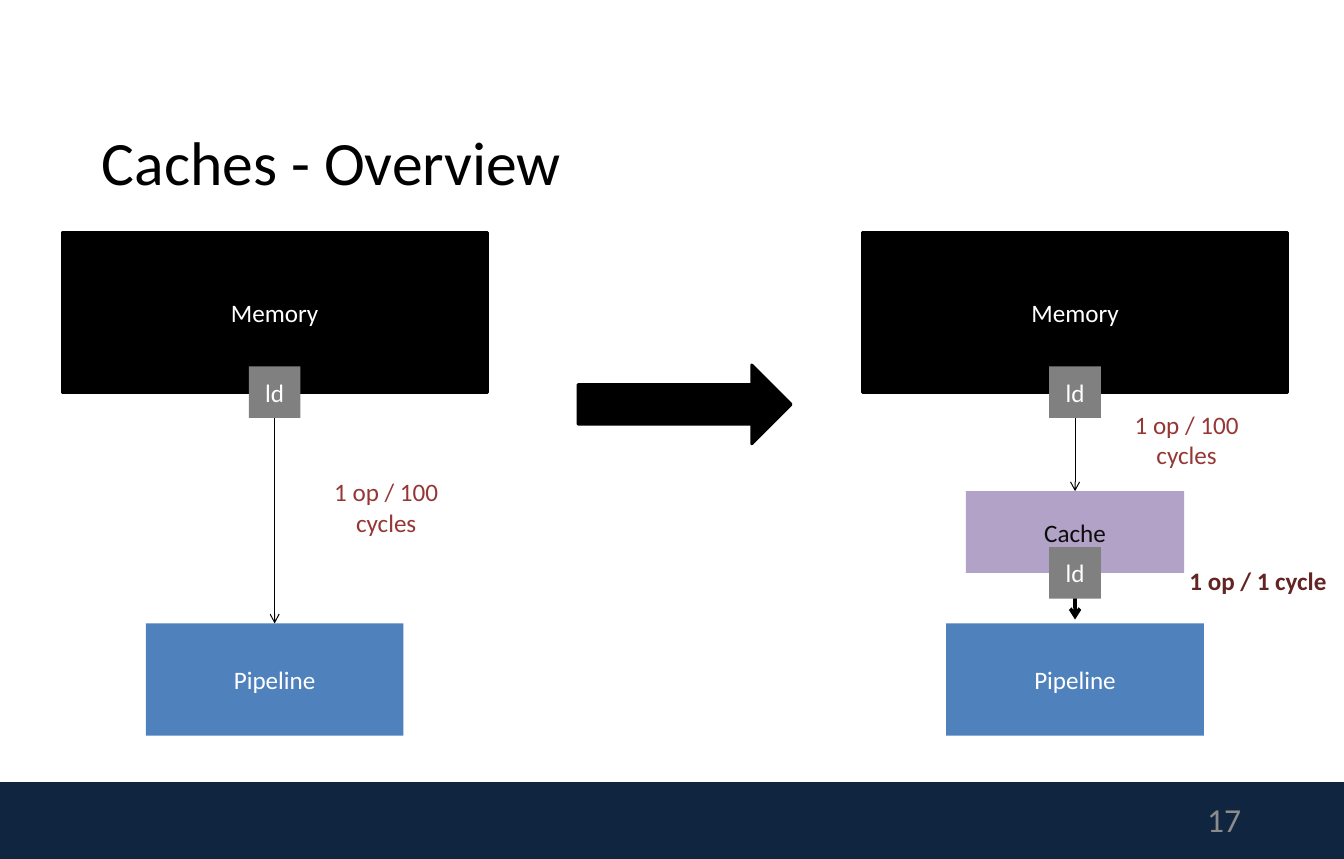
import pptx
import pptx.util
import pptx.dml.color
import pptx.enum.shapes
import pptx.enum.text
import pptx.oxml.ns
import lxml.etree

Pt = pptx.util.Pt
RGBColor = pptx.dml.color.RGBColor
SHAPE = pptx.enum.shapes.MSO_SHAPE
ALIGN = pptx.enum.text.PP_ALIGN
ANCHOR = pptx.enum.text.MSO_ANCHOR

FONT = "Calibri"
BODY_SIZE = 17.9
WHITE = RGBColor(0xFF, 0xFF, 0xFF)
BLACK = RGBColor(0, 0, 0)
NAVY = RGBColor(0x10, 0x25, 0x3F)
BLUE = RGBColor(0x4F, 0x81, 0xBD)
PURPLE = RGBColor(0xB3, 0xA2, 0xC7)
GRAY = RGBColor(0x80, 0x80, 0x80)
NUMBER_GRAY = RGBColor(0x8C, 0x8C, 0x8C)
CACHE_TEXT = RGBColor(0x0D, 0x0D, 0x0D)
RED = RGBColor(0x95, 0x37, 0x35)
DARK_RED = RGBColor(0x63, 0x25, 0x23)

SLIDE_WIDTH, SLIDE_HEIGHT = 957.6, 612
LEFT_CENTER, RIGHT_CENTER = 195.7, 766
MEMORY_TOP, MEMORY_HEIGHT = 165.6, 113.8
MEMORY_BOTTOM = MEMORY_TOP + MEMORY_HEIGHT
CACHE_TOP, CACHE_HEIGHT = 350, 58.2
CACHE_BOTTOM = CACHE_TOP + CACHE_HEIGHT
PIPELINE_TOP = 444.2
LOAD_SIZE = 36.8
LABEL_WIDTH = 119.5


def write_text(shape, text, color, size=BODY_SIZE, align=ALIGN.CENTER,
               anchor=ANCHOR.MIDDLE, bold=False):
    frame = shape.text_frame
    frame.word_wrap = True
    frame.vertical_anchor = anchor
    frame.text = text
    paragraph = frame.paragraphs[0]
    paragraph.alignment = align
    font = paragraph.runs[0].font
    font.name, font.size, font.bold = FONT, Pt(size), bold
    font.color.rgb = color
    return paragraph


def add_block(slide, left, top, width, height, fill, kind=SHAPE.RECTANGLE, outlined=False):
    shape = slide.shapes.add_shape(kind, Pt(left), Pt(top), Pt(width), Pt(height))
    shape.shadow.inherit = False
    shape.fill.solid()
    shape.fill.fore_color.rgb = fill
    if outlined:
        shape.line.color.rgb = fill
        shape.line.width = Pt(2)
    else:
        shape.line.fill.background()
    return shape


def add_unit(slide, center, top, width, height, fill, text, color=WHITE, outlined=False):
    shape = add_block(slide, center - width / 2, top, width, height, fill, outlined=outlined)
    write_text(shape, text, color)


def add_load(slide, center, middle):
    add_unit(slide, center, middle - LOAD_SIZE / 2, LOAD_SIZE, LOAD_SIZE, GRAY, "ld")


def add_down_arrow(slide, center, top, bottom, width=0.75):
    arrow = slide.shapes.add_connector(pptx.enum.shapes.MSO_CONNECTOR.STRAIGHT,
                                       Pt(center), Pt(top), Pt(center), Pt(bottom))
    arrow.line.color.rgb = BLACK
    arrow.line.width = Pt(width)
    qn = pptx.oxml.ns.qn
    lxml.etree.SubElement(arrow.line._get_or_add_ln(), qn("a:tailEnd"), type="arrow")
    lxml.etree.SubElement(arrow._element.spPr, qn("a:effectLst"))


def add_text(slide, left, top, width, height, text, color, **style):
    box = slide.shapes.add_textbox(Pt(left), Pt(top), Pt(width), Pt(height))
    return write_text(box, text, color, **style)


def add_rate(slide, center, top, height, text, color, bold=False):
    add_text(slide, center - LABEL_WIDTH / 2, top, LABEL_WIDTH, height, text, color,
             anchor=ANCHOR.TOP, bold=bold)


def add_system(slide, center, arrow_bottom, rate_top):
    """Memory above a pipeline, with the slow load between them."""
    add_unit(slide, center, PIPELINE_TOP, 183.6, 79.9, BLUE, "Pipeline")
    add_unit(slide, center, MEMORY_TOP, 303.1, MEMORY_HEIGHT, BLACK, "Memory", outlined=True)
    add_down_arrow(slide, center, MEMORY_BOTTOM, arrow_bottom)
    add_load(slide, center, MEMORY_BOTTOM)
    add_rate(slide, center + 79.5, rate_top, 51.1, "1 op / 100 cycles", RED)


def add_cache(slide, center):
    add_unit(slide, center, CACHE_TOP, 155.5, CACHE_HEIGHT, PURPLE, "Cache", CACHE_TEXT)
    add_down_arrow(slide, center, CACHE_BOTTOM, 441.4, width=2.5)
    add_load(slide, center, CACHE_BOTTOM)
    add_rate(slide, center + 130.4, 399.6, 28.8, "1 op / 1 cycle", DARK_RED, bold=True)


def main():
    presentation = pptx.Presentation()
    presentation.slide_width = Pt(SLIDE_WIDTH)
    presentation.slide_height = Pt(SLIDE_HEIGHT)
    slide = presentation.slides.add_slide(presentation.slide_layouts[6])

    # Footer band and slide number
    add_block(slide, 0, 557.3, SLIDE_WIDTH, SLIDE_HEIGHT - 557.3, NAVY)
    add_text(slide, 676, 567.4, 215.4, 32.4, "17", NUMBER_GRAY, size=23.9, align=ALIGN.RIGHT)

    # Title
    title = add_text(slide, 65.5, 65.5, 825.8, 104.4, "Caches - Overview", BLACK,
                     size=43.9, align=ALIGN.LEFT)
    title.line_spacing = 0.9

    # Without a cache, then with one
    add_system(slide, LEFT_CENTER, PIPELINE_TOP, 336.2)
    add_block(slide, 411.8, 260, 151.9, 56.2, BLACK, SHAPE.RIGHT_ARROW, outlined=True)
    add_system(slide, RIGHT_CENTER, CACHE_TOP, 288)
    add_cache(slide, RIGHT_CENTER)

    presentation.save("out.pptx")


if __name__ == "__main__":
    main()
